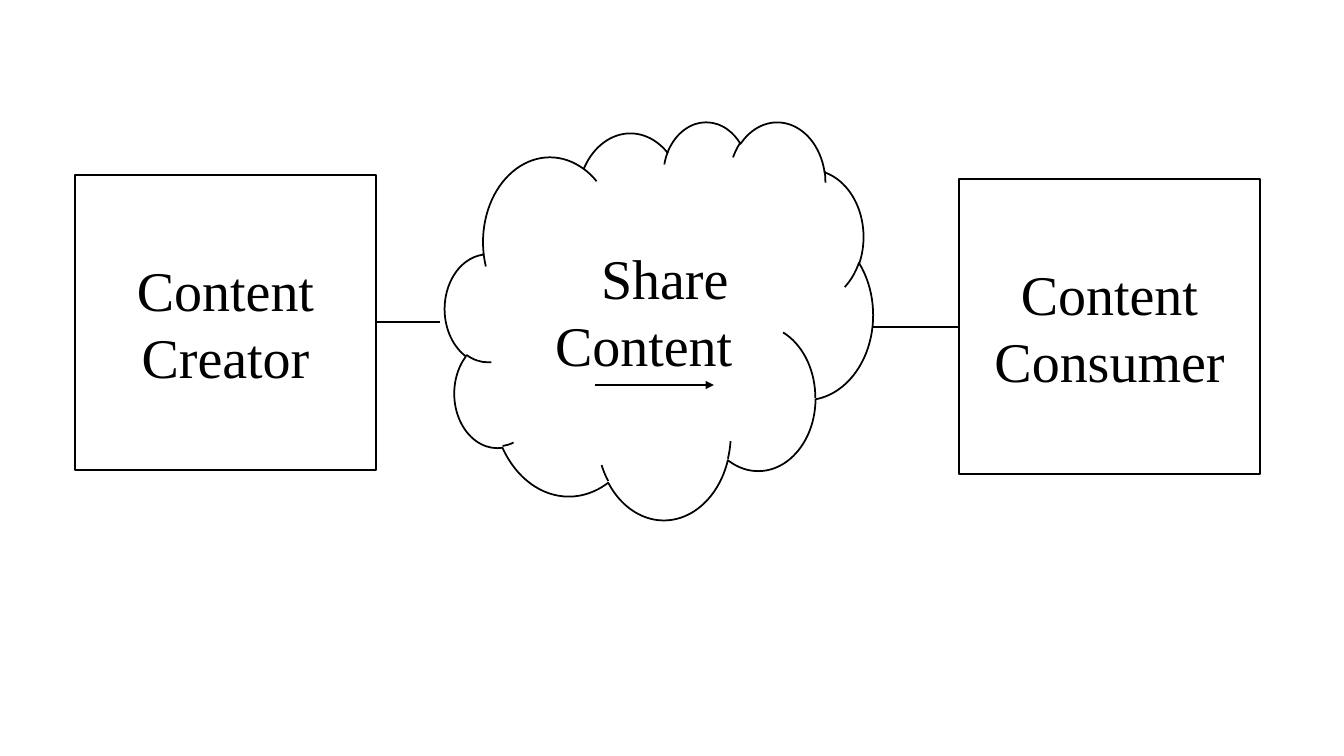
from dataclasses import dataclass

from lxml import etree
from pptx import Presentation
from pptx import util as u
from pptx.dml.color import RGBColor
from pptx.enum import shapes, text
from pptx.oxml import ns


@dataclass(frozen=True)
class Theme:
    """Colours, font and sizes of the diagram."""
    ink: RGBColor = RGBColor(0, 0, 0)
    font: str = "Times New Roman"
    label: float = 40
    outline: float = 1.25
    link: float = 1
    arrow: float = 0.75


class Diagram:
    """Draws the elements of one slide in pixel lengths."""

    SCALE = 914400 / 100.8

    def __init__(self, prs, theme):
        """Set the slide size and add a blank slide."""
        self.theme = theme
        prs.slide_width, prs.slide_height = self.px(1344), self.px(756)
        self.slide = prs.slides.add_slide(prs.slide_layouts[6])

    def px(self, n):
        """Turn pixels into EMU."""
        return u.Emu(round(n * self.SCALE))

    def node(self, kind, box, lines, first_indent=0):
        """Add an outlined shape with one centred paragraph per line."""
        sp = self.slide.shapes.add_shape(kind, *map(self.px, box))
        sp.shadow.inherit = False
        sp.fill.background()
        sp.line.color.rgb = self.theme.ink
        sp.line.width = u.Pt(self.theme.outline)
        tf = sp.text_frame
        tf.word_wrap = True
        tf.vertical_anchor = text.MSO_ANCHOR.MIDDLE
        for i, line in enumerate(lines):
            p = tf.add_paragraph() if i else tf.paragraphs[0]
            p.alignment = text.PP_ALIGN.CENTER
            r = p.add_run()
            r.text = line
            r.font.name = self.theme.font
            r.font.size = u.Pt(self.theme.label)
            r.font.color.rgb = self.theme.ink
        if first_indent:
            pPr = tf.paragraphs[0]._p.get_or_add_pPr()
            pPr.set("marL", str(self.px(first_indent)))

    def link(self, x1, x2, y, width, arrow=False):
        """Add a horizontal line, with an arrowhead at its end if asked."""
        ends = map(self.px, (x1, y, x2, y))
        cxn = self.slide.shapes.add_connector(shapes.MSO_CONNECTOR.STRAIGHT, *ends)
        cxn.line.color.rgb = self.theme.ink
        cxn.line.width = u.Pt(width)
        if arrow:
            ln = cxn.line._get_or_add_ln()
            etree.SubElement(ln, ns.qn("a:tailEnd"), type="triangle")
        etree.SubElement(cxn._element.spPr, ns.qn("a:effectLst"))


def main():
    """Build the content sharing diagram."""
    prs, theme = Presentation(), Theme()
    s = Diagram(prs, theme)
    kinds = shapes.MSO_SHAPE
    s.node(kinds.CLOUD, (445, 121, 428, 398), ["Share", "Content"], first_indent=42)
    for role, left, top in (("Creator", 75, 175), ("Consumer", 959, 179)):
        s.node(kinds.RECTANGLE, (left, top, 301, 295), ["Content", role])
    s.link(595, 714, 385, theme.arrow, arrow=True)
    s.link(376, 440, 322, theme.link)
    s.link(873, 959, 327, theme.link)
    prs.save("out.pptx")


main()
